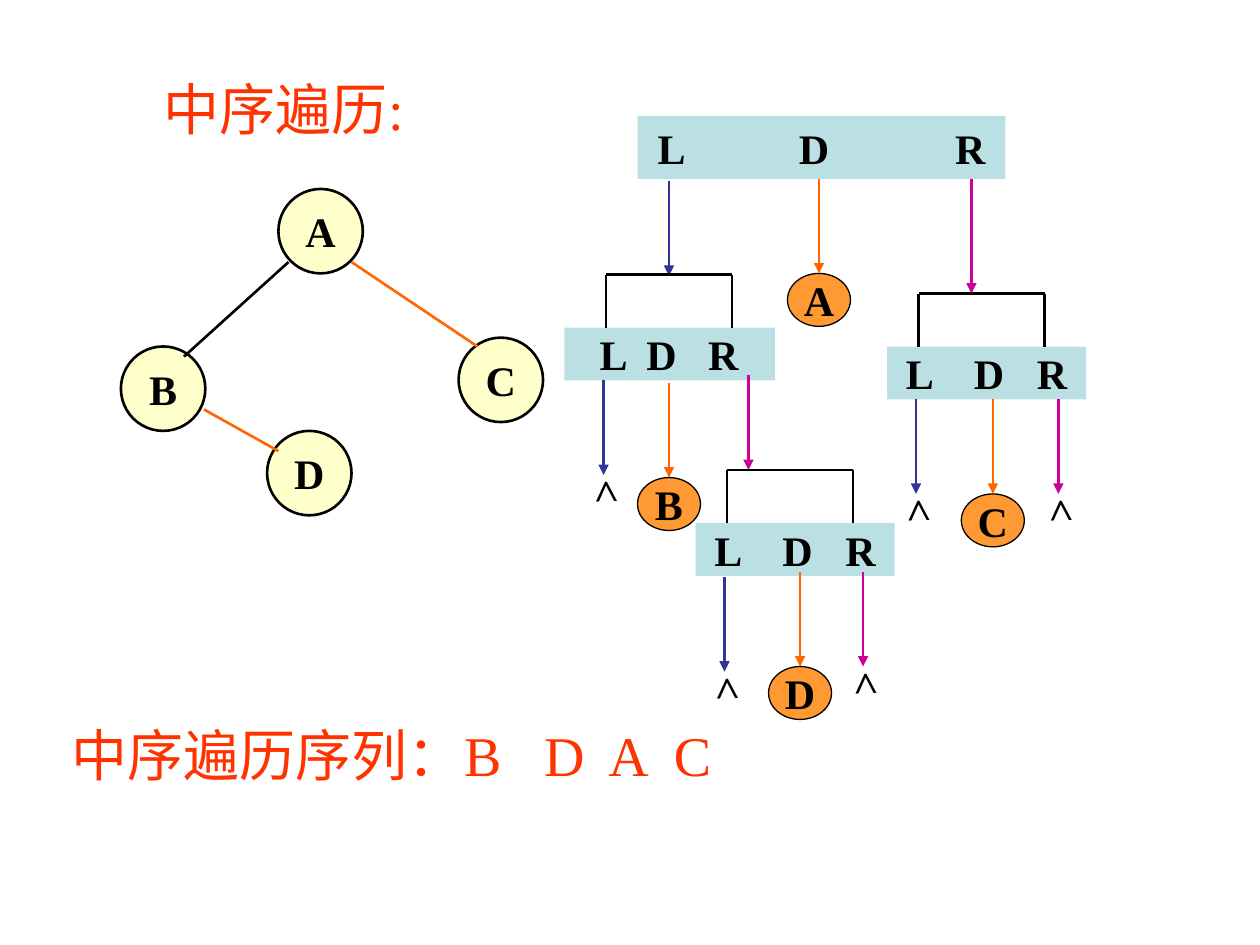
from lxml import etree
from pptx import Presentation
from pptx.dml.color import RGBColor
from pptx.enum.shapes import MSO_CONNECTOR, MSO_SHAPE
from pptx.enum.text import MSO_ANCHOR, MSO_AUTO_SIZE, PP_ALIGN
from pptx.oxml.ns import qn
from pptx.util import Inches, Pt

LINE = MSO_CONNECTOR.STRAIGHT
OVAL, RECT = MSO_SHAPE.OVAL, MSO_SHAPE.RECTANGLE
MIDDLE, TOP = MSO_ANCHOR.MIDDLE, MSO_ANCHOR.TOP
LEFT, CENTER = PP_ALIGN.LEFT, PP_ALIGN.CENTER
GROW, FIXED = MSO_AUTO_SIZE.SHAPE_TO_FIT_TEXT, MSO_AUTO_SIZE.NONE

THEME = {
    "font": "Times New Roman", "label": 24, "head": 32,
    "ink": "000000", "red": "FF3300", "node": "FFFFCC", "visit": "FF9933",
    "bar": "BBE0E3", "L": "333399", "D": "FF6600", "R": "CC0099",
    "thick": 1.5, "thin": 0.75,
}

TITLE = "中序遍历:"
ORDER = "中序遍历序列：B\tD\tA\tC"
ORDER_TABS = [3.75, 4.26, 4.78]

# Tree nodes: letter, left, top
NODES = [("A", 2.21, 1.5), ("D", 2.12, 3.42), ("B", 0.96, 2.75), ("C", 3.64, 2.68)]
# Tree edges: start, end, colour
EDGES = [
    ((2.29, 2.08), (1.46, 2.83), "ink"),
    ((2.79, 2.08), (3.79, 2.75), "D"),
    ((1.62, 3.25), (2.21, 3.58), "D"),
]

NULL = ">"
# Calls: bar box, letter centres from the bar's left, bracket left (or None),
# then the L, D and R arrows as x, top, length, what they lead to
CALLS = [
    ((5.06, 0.92, 2.92, 0.5), (0.27, 1.4, 2.64), None,
     [(5.31, 1.44, 0.75, None), (6.5, 1.42, 0.75, "A"), (7.71, 1.42, 0.91, None)]),
    ((4.48, 2.6, 1.67, 0.42), (0.39, 0.77, 1.26), 4.81,
     [(4.79, 3.02, 0.75, NULL), (5.31, 3.04, 0.75, "B"), (5.94, 2.98, 0.75, None)]),
    ((5.52, 4.15, 1.58, 0.42), (0.26, 0.81, 1.31), 5.77,
     [(5.75, 4.58, 0.75, NULL), (6.35, 4.54, 0.75, "D"), (6.85, 4.54, 0.75, NULL)]),
    ((7.04, 2.75, 1.58, 0.42), (0.26, 0.81, 1.31), 7.29,
     [(7.27, 3.17, 0.75, NULL), (7.88, 3.17, 0.75, "C"), (8.4, 3.17, 0.75, NULL)]),
]
NODE_SIZE = 0.67
VISIT_W, VISIT_H = 0.5, 0.42
NULL_W, NULL_H, NULL_UP, NULL_TURN = 0.42, 0.5, 0.13, 268.3
FORK_W, FORK_H = 1, 0.42
HALF_L = 0.11  # half the width of the letter L


def color(name):
    return RGBColor.from_string(THEME[name])


def put_text(shape, text, size="label", ink="ink", bold=True, align=CENTER,
             anchor=MIDDLE, wrap=False, fit=FIXED, tabs=(), tab_kind="l"):
    frame = shape.text_frame
    frame.auto_size = fit
    frame.word_wrap = wrap
    frame.vertical_anchor = anchor
    para = frame.paragraphs[0]
    para.alignment = align
    if tabs:
        stops = etree.SubElement(para._p.get_or_add_pPr(), qn("a:tabLst"))
        for pos in tabs:
            etree.SubElement(stops, qn("a:tab"), pos=str(Inches(pos)), algn=tab_kind)
    run = para.add_run()
    run.text = text
    font = run.font
    font.name = THEME["font"]
    font.size = Pt(THEME[size])
    font.bold = bold
    font.color.rgb = color(ink)
    return frame


def add_form(shapes, kind, box, fill, edge=None):
    form = shapes.add_shape(kind, *map(Inches, box))
    form.shadow.inherit = False
    form.fill.solid()
    form.fill.fore_color.rgb = color(fill)
    if edge:
        form.line.color.rgb = color("ink")
        form.line.width = Pt(THEME[edge])
    else:
        form.line.fill.background()
    return form


def add_line(shapes, start, end, ink="ink", arrow=False):
    line = shapes.add_connector(LINE, *map(Inches, (*start, *end)))
    line.line.color.rgb = color(ink)
    line.line.width = Pt(THEME["thick"])
    if arrow:
        etree.SubElement(line.line._get_or_add_ln(), qn("a:tailEnd"), type="triangle")
    etree.SubElement(line._element.spPr, qn("a:effectLst"))
    return line


def add_tree(shapes):
    for name, left, top in NODES:
        node = add_form(shapes, OVAL, (left, top, NODE_SIZE, NODE_SIZE), "node", "thick")
        put_text(node, name)
    for start, end, ink in EDGES:
        add_line(shapes, start, end, ink)


def add_bar(shapes, box, mids):
    """Draw one L D R bar, with a centred tab stop under each later letter."""
    start = mids[0] - HALF_L
    frame = put_text(add_form(shapes, RECT, box, "bar"), "L\tD\tR", align=LEFT,
                     wrap=True, tabs=[mid - start for mid in mids[1:]], tab_kind="ctr")
    frame.margin_left, frame.margin_right = Inches(start), 0


def add_fork(shapes, left, base):
    top, right = base - FORK_H, left + FORK_W
    add_line(shapes, (left, top), (right, top))
    for x in (left, right):
        add_line(shapes, (x, top), (x, base))


def add_step(shapes, ink, x, top, size, goal):
    """Draw one arrow and the visited node or null mark at its end."""
    end = top + size
    arrow = add_line(shapes, (x, top), (x, end), ink, arrow=True)
    if goal == NULL:
        mark = shapes.add_textbox(*map(Inches, (x - NULL_W / 2, end - NULL_UP, NULL_W, NULL_H)))
        mark.rotation = NULL_TURN
        put_text(mark, NULL, align=LEFT, anchor=TOP, wrap=True, fit=GROW)
    elif goal:
        visit = add_form(shapes, OVAL, (x - VISIT_W / 2, end, VISIT_W, VISIT_H), "visit", "thin")
        put_text(visit, goal)
        arrow.end_connect(visit, 0)


def main():
    deck = Presentation()
    deck.slide_width, deck.slide_height = Inches(10), Inches(7.5)
    slide = deck.slides.add_slide(deck.slide_layouts[5])
    shapes = slide.shapes
    head = {"size": "head", "ink": "red", "bold": False, "align": LEFT,
            "anchor": TOP, "fit": GROW}

    title = shapes.title
    title.left, title.top, title.width, title.height = map(Inches, (1.2, 0.54, 2.21, 0.64))
    put_text(title, TITLE, **head)

    add_tree(shapes)
    for box, mids, fork, steps in CALLS:
        add_bar(shapes, box, mids)
        if fork:
            add_fork(shapes, fork, box[1])
        for ink, step in zip("LDR", steps):
            add_step(shapes, ink, *step)

    order = shapes.add_textbox(*map(Inches, (0.47, 5.67, 5.32, 0.64)))
    put_text(order, ORDER, wrap=True, tabs=ORDER_TABS, **head)
    deck.save("out.pptx")


if __name__ == "__main__":
    main()
